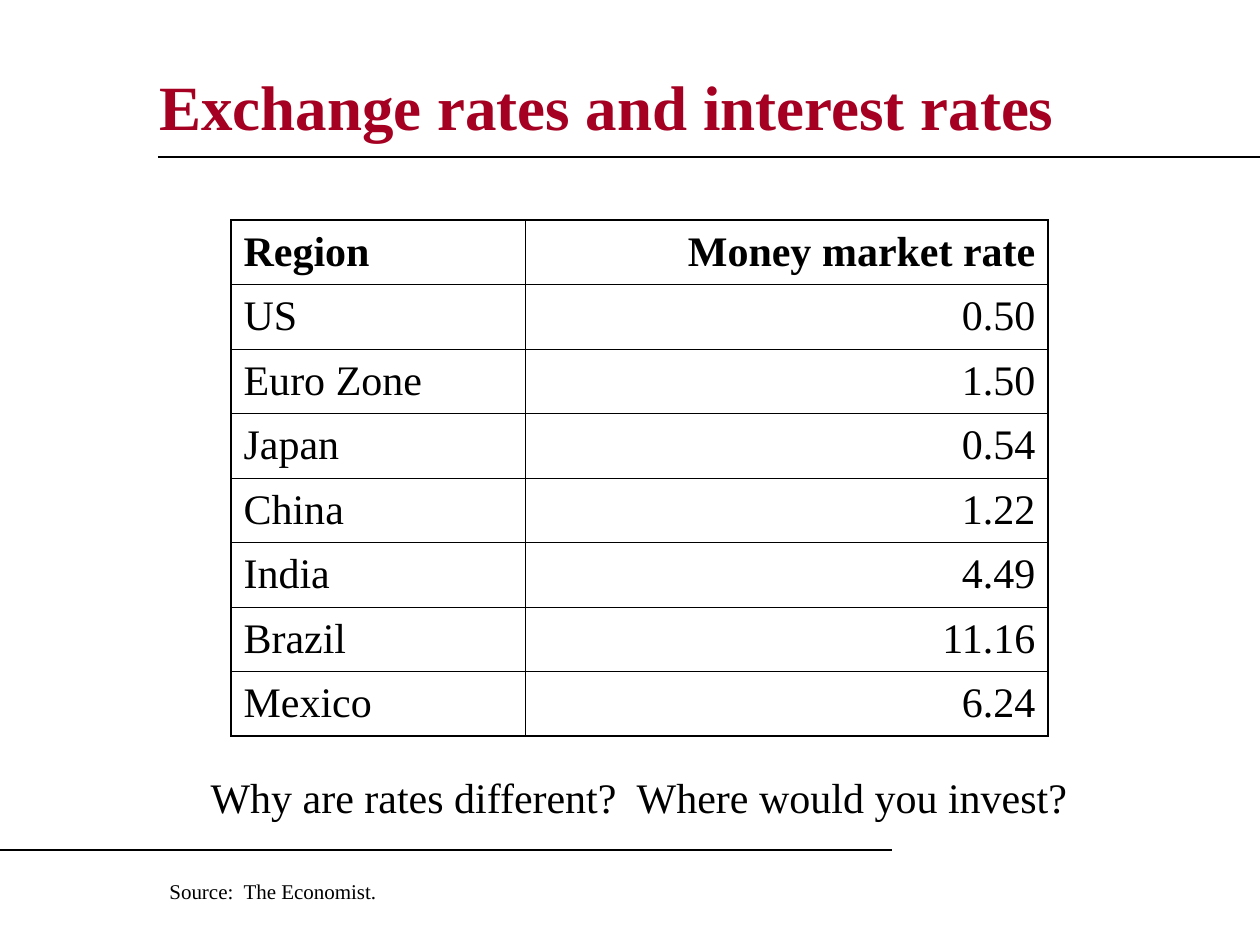
from lxml import etree
from pptx import Presentation
from pptx.dml.color import RGBColor
from pptx.enum.shapes import MSO_CONNECTOR
from pptx.enum.text import MSO_ANCHOR, PP_ALIGN
from pptx.oxml.ns import qn
from pptx.util import Pt

PX = 914400 / 126
STRAIGHT = MSO_CONNECTOR.STRAIGHT
TOP, MIDDLE = MSO_ANCHOR.TOP, MSO_ANCHOR.MIDDLE
LEFT, CENTER, RIGHT = PP_ALIGN.LEFT, PP_ALIGN.CENTER, PP_ALIGN.RIGHT
FONT = "Times New Roman"
COLORS = {"title": "A50021", "ink": "000000"}
OUTER, INNER = 1.08, 0.45

RATES = [
    ("Region", "Money market rate"),
    ("US", "0.50"),
    ("Euro Zone", "1.50"),
    ("Japan", "0.54"),
    ("China", "1.22"),
    ("India", "4.49"),
    ("Brazil", "11.16"),
    ("Mexico", "6.24"),
]


def px(length):
    return round(length * PX)


def write(frame, text, size, color="ink", bold=False, align=LEFT):
    frame.text = text
    paragraph = frame.paragraphs[0]
    paragraph.alignment = align
    font = paragraph.runs[0].font
    font.name, font.size, font.bold = FONT, Pt(size), bold
    font.color.rgb = RGBColor.from_string(COLORS[color])
    return paragraph


def add_text(slide, box, text, size, anchor=TOP, **style):
    frame = slide.shapes.add_textbox(*map(px, box)).text_frame
    frame.word_wrap = True
    frame.vertical_anchor = anchor
    return write(frame, text, size, **style)


def add_rule(slide, left, right, y):
    rule = slide.shapes.add_connector(STRAIGHT, px(left), px(y), px(right), px(y))
    rule.line.color.rgb = RGBColor.from_string(COLORS["ink"])
    rule.line.width = Pt(0.75)
    etree.SubElement(rule._element.spPr, qn("a:effectLst"))


def set_borders(cell, widths):
    properties = cell._tc.get_or_add_tcPr()
    for position, (side, width) in enumerate(widths.items()):
        border = etree.Element(qn(f"a:ln{side}"), w=str(Pt(width)))
        fill = etree.SubElement(border, qn("a:solidFill"))
        etree.SubElement(fill, qn("a:srgbClr"), val=COLORS["ink"])
        properties.insert(position, border)


def add_rates_table(slide, left, top, column_widths, height):
    last_row, last_column = len(RATES) - 1, len(column_widths) - 1
    table = slide.shapes.add_table(
        len(RATES), len(column_widths),
        px(left), px(top), px(sum(column_widths)), px(height),
    ).table
    table.first_row = table.horz_banding = False
    for column, width in zip(table.columns, column_widths):
        column.width = px(width)
    for r, entries in enumerate(RATES):
        for c, entry in enumerate(entries):
            cell = table.cell(r, c)
            cell.fill.background()
            cell.vertical_anchor = MIDDLE
            write(cell.text_frame, entry, 24, bold=r == 0, align=RIGHT if c else LEFT)
            set_borders(cell, {
                "L": OUTER if c == 0 else INNER,
                "R": OUTER if c == last_column else INNER,
                "T": OUTER if r == 0 else INNER,
                "B": OUTER if r == last_row else INNER,
            })


def main():
    deck = Presentation()
    deck.slide_width, deck.slide_height = px(1260), px(945)
    slide = deck.slides.add_slide(deck.slide_layouts[6])

    add_text(slide, (147, 53, 1018, 105), "Exchange rates and interest rates", 36,
             anchor=MIDDLE, color="title", bold=True)
    question = add_text(slide, (130, 775, 1018, 63),
                        "Why are rates different?  Where would you invest?", 24, align=CENTER)
    question.line_spacing = 0.8
    add_rule(slide, 158, 1260, 157)
    add_rule(slide, 0, 892, 850)
    add_rates_table(slide, 231, 220, (294, 523), 516)
    add_text(slide, (157, 872, 536, 38), "Source:  The Economist.", 12)

    deck.save("out.pptx")


if __name__ == "__main__":
    main()
